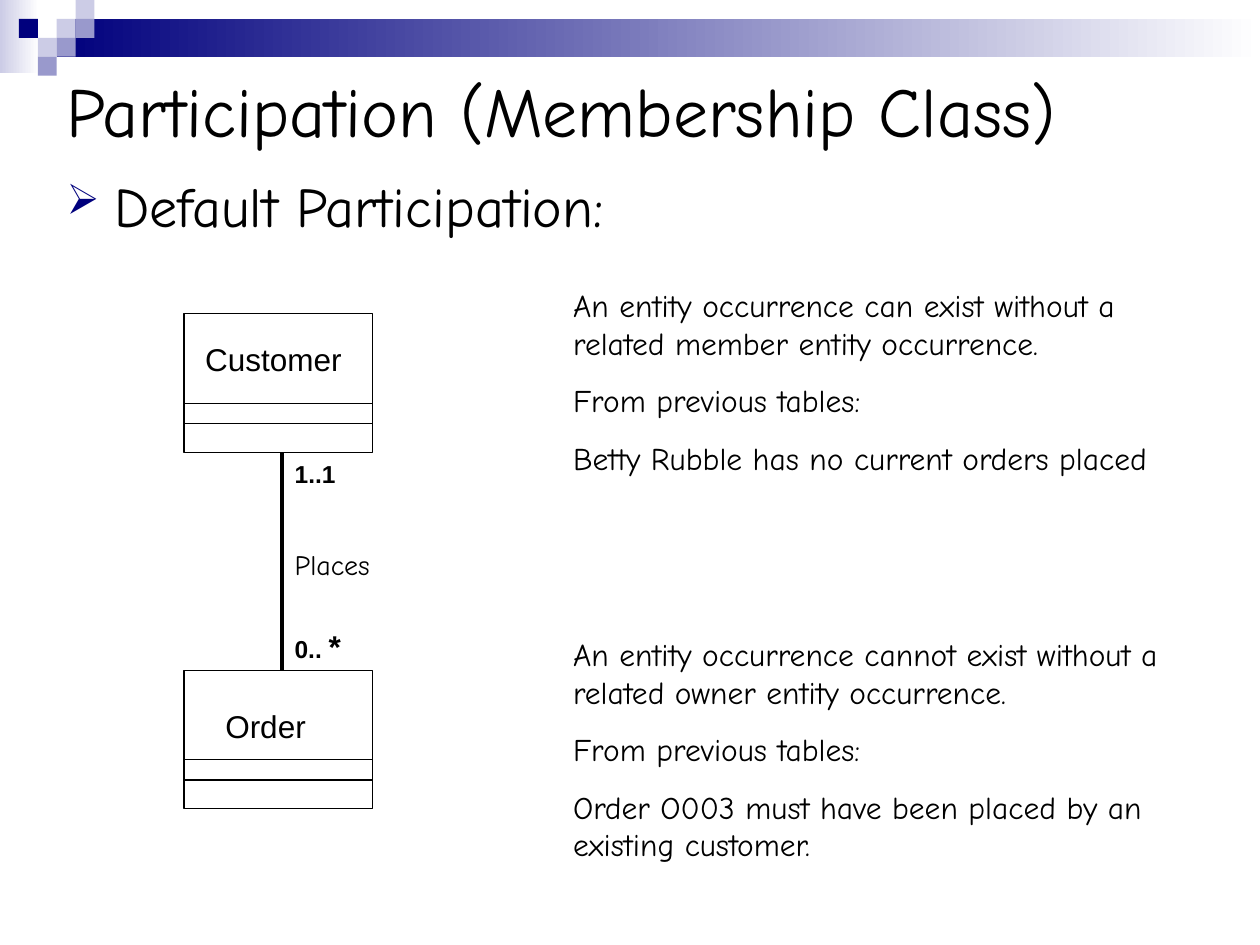
from lxml import etree
from pptx import Presentation
from pptx.dml.color import RGBColor
from pptx.enum import shapes, text
from pptx.oxml import ns
from pptx.util import Inches, Pt

COLORS = {"ink": "000000", "navy": "00007D", "mid": "9999CC",
          "pale": "CCCCE6", "white": "FFFFFF"}
HAND = "Comic Neue"
SANS = "Arial"
TILE = 0.15


def rgb(name):
    return RGBColor.from_string(COLORS[name])


def add_rect(slide, x, y, w, h):
    box = slide.shapes.add_shape(
        shapes.MSO_SHAPE.RECTANGLE, Inches(x), Inches(y), Inches(w), Inches(h))
    box.shadow.inherit = False
    return box


def add_tile(slide, x, y, color):
    tile = add_rect(slide, x, y, TILE, TILE)
    tile.fill.solid()
    tile.fill.fore_color.rgb = rgb(color)
    tile.line.fill.background()


def add_fade(slide, x, y, w, h, color):
    """Add a band that fades to white from left to right."""
    band = add_rect(slide, x, y, w, h)
    band.fill.gradient()
    band.fill.gradient_angle = 0
    for stop, name in zip(band.fill.gradient_stops, (color, "white")):
        stop.color.rgb = rgb(name)
    band.line.fill.background()


def add_line(slide, x1, y1, x2, y2, width=0.75):
    line = slide.shapes.add_connector(
        shapes.MSO_CONNECTOR.STRAIGHT, Inches(x1), Inches(y1), Inches(x2), Inches(y2))
    line.line.color.rgb = rgb("ink")
    line.line.width = Pt(width)
    etree.SubElement(line._element.spPr, ns.qn("a:effectLst"))


def add_text(slide, x, y, w, h, lines, size, font=HAND, bold=False, gap=0):
    box = slide.shapes.add_textbox(Inches(x), Inches(y), Inches(w), Inches(h))
    frame = box.text_frame
    frame.word_wrap = True
    for i, line in enumerate(lines):
        para = frame.paragraphs[0] if i == 0 else frame.add_paragraph()
        para.text = line
        if i:
            para.space_before = Pt(gap)
        para.font.size = Pt(size)
        para.font.name = font
        para.font.bold = bold
        para.font.color.rgb = rgb("ink")
    return frame


def add_bullet(para, char, color, scale, indent):
    props = para._p.get_or_add_pPr()
    props.set("marL", str(Inches(indent)))
    props.set("indent", str(-Inches(indent)))
    tint = etree.SubElement(props, ns.qn("a:buClr"))
    etree.SubElement(tint, ns.qn("a:srgbClr"), val=COLORS[color])
    etree.SubElement(props, ns.qn("a:buSzPct"), val=str(scale * 1000))
    etree.SubElement(props, ns.qn("a:buChar"), char=char)


def add_class(slide, x, y):
    """Add a class box with its two divider lines."""
    width = 1.5
    box = add_rect(slide, x, y, width, 1.1)
    box.fill.background()
    box.line.color.rgb = rgb("ink")
    box.line.width = Pt(0.75)
    for drop in (0.71, 0.87):
        add_line(slide, x, y + drop, x + width, y + drop)


def add_header(slide):
    add_fade(slide, 0, 0, 0.31, 0.58, "pale")
    add_fade(slide, 0.45, 0.15, 9.55, 0.3, "navy")
    tiles = [(3, 1, "pale"), (4, 0, "pale"), (4, 1, "mid"), (2, 2, "pale"),
             (1, 1, "navy"), (3, 2, "mid"), (2, 3, "mid")]
    for col, row, color in tiles:
        add_tile(slide, col * TILE, row * TILE, color)


def main():
    deck = Presentation()
    deck.slide_width, deck.slide_height = Inches(10), Inches(7.5)
    slide = deck.slides.add_slide(deck.slide_layouts[6])

    add_header(slide)
    title = add_text(slide, 0.43, 0.36, 9.23, 1.02,
                     ["Participation (Membership Class)"], 40)
    title.vertical_anchor = text.MSO_ANCHOR.MIDDLE
    topic = add_text(slide, 0.43, 1.31, 9, 0.87, ["Default Participation:"], 32)
    add_bullet(topic.paragraphs[0], "➢", "navy", 75, 0.38)

    add_text(slide, 1.53, 2.65, 1.42, 0.4, ["Customer"], 18, SANS)
    add_text(slide, 1.69, 5.56, 0.86, 0.4, ["Order"], 18, SANS)
    for top in (2.49, 5.32):
        add_class(slide, 1.46, top)

    axis = 2.24
    add_line(slide, axis, 3.59, axis, 5.32, 2.25)
    add_text(slide, axis, 4.3, 1.02, 0.37, ["Places"], 16)
    add_text(slide, axis, 3.59, 0.55, 0.34, ["1..1"], 14, SANS, True)
    many = add_text(slide, axis, 4.93, 0.63, 0.4, ["0.. "], 14, SANS, True)
    star = many.paragraphs[0].add_run()
    star.text = "*"
    star.font.size = Pt(18)

    add_text(slide, 4.45, 2.22, 5.28, 1.62, [
        "An entity occurrence can exist without a related member entity occurrence.",
        "From previous tables:",
        "Betty Rubble has no current orders placed"], 18, gap=11.2)
    add_text(slide, 4.45, 4.99, 5.36, 1.92, [
        "An entity occurrence cannot exist without a related owner entity occurrence.",
        "From previous tables:",
        "Order O003 must have been placed by an existing customer."], 18, gap=11.2)

    deck.save("out.pptx")


if __name__ == "__main__":
    main()
